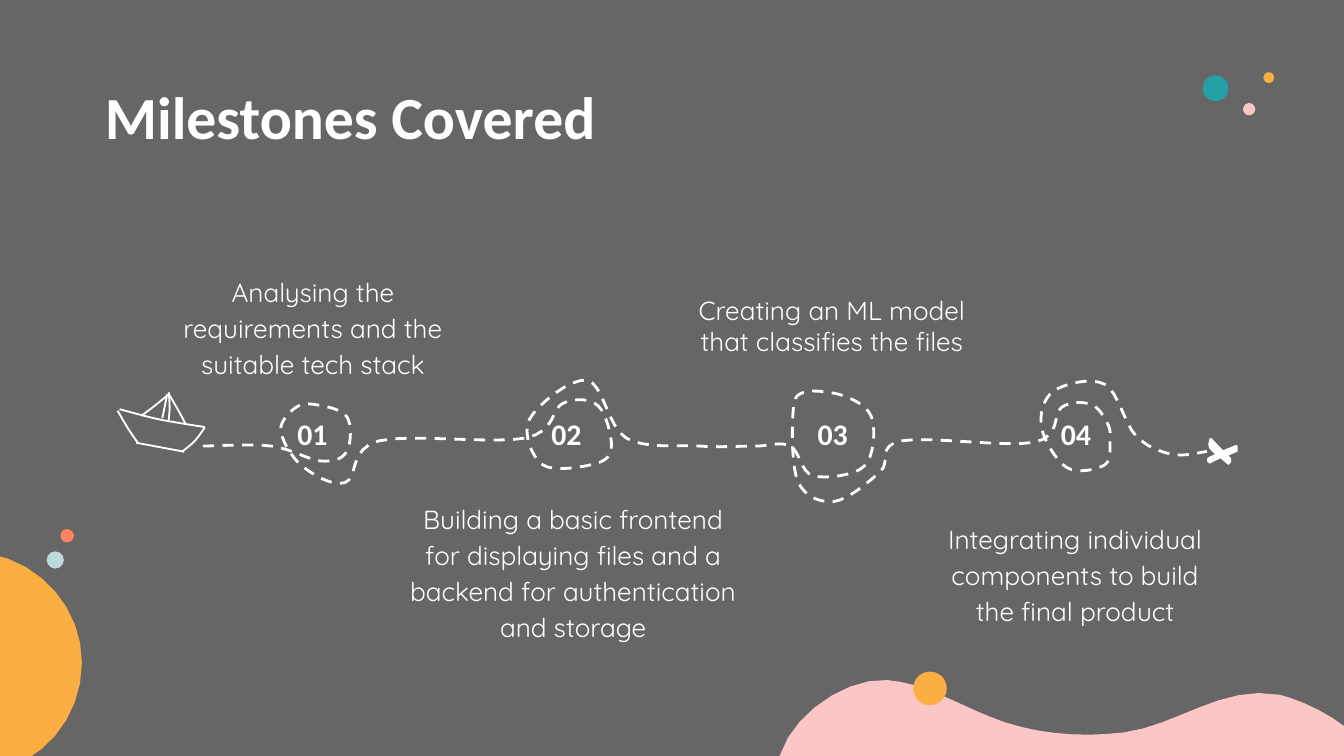
from pptx import Presentation
from pptx.dml.color import RGBColor
from pptx.enum.dml import MSO_LINE
from pptx.enum.shapes import MSO_SHAPE
from pptx.enum.text import MSO_ANCHOR, MSO_AUTO_SIZE, PP_ALIGN
from pptx.util import Pt

OVAL = MSO_SHAPE.OVAL
DASH = MSO_LINE.DASH
TOP = MSO_ANCHOR.TOP
NO_FIT = MSO_AUTO_SIZE.NONE
LEFT, CENTER = PP_ALIGN.LEFT, PP_ALIGN.CENTER

GRAY, WHITE = "666666", "FFFFFF"
ORANGE, PINK, TEAL = "FBAF42", "FCC6C7", "25A0A6"
MINT, CORAL = "BBDCDC", "FF8361"
CURVE_STEPS = 8

# Bezier curves: a start point, then two handles and an end for each curve
WAVE = [(316, 43.5),
        (316, 26.2), (282.4, 11.1), (269.4, 8.2),
        (238.5, 2.5), (214.7, 24.8), (185.9, 28.4),
        (161.4, 31.3), (136.2, 29.1), (113.9, 19.8),
        (95.9, 12.6), (78.6, 1.8), (59.2, 0.3),
        (34, -1.1), (0.9, 24.1), (0.2, 50)]
SUN = [(0, 117.4),
       (28.1, 113.1), (49.7, 88.4), (49.7, 58.4),
       (49.7, 29.6), (28.1, 5.1), (0, 0)]

# Points that the dashed trail passes through, with a loop at each milestone
TRAIL = [(8.7, 39), (45.4, 39),
         (72.1, 47), (85.8, 41.9), (85.8, 23.2), (68.5, 16.7), (57.7, 18.9),
         (50.5, 31.1), (62, 49.8), (85, 58.5), (103, 36.2), (181.5, 34.7),
         (201.7, 16), (220.4, 17.4), (227.6, 39), (219, 48.4), (190.9, 49.1),
         (183.7, 24.6), (214.6, 3.8), (235.5, 34.7), (274.4, 39), (304.6, 39),
         (323.4, 39), (335.6, 54.9), (363, 49.8), (367.3, 24.6), (352.9, 12.4),
         (330.6, 10.2), (324.8, 21.8), (327.7, 58.5), (347.1, 68.6),
         (371.6, 52.7), (383.1, 36.2), (454.4, 36.9),
         (468.8, 18.2), (484.6, 16.7), (493.3, 26.8), (494.7, 36.2),
         (491.8, 49.1), (471.7, 50.6), (458, 29), (464.5, 9.5), (491.8, 5.9),
         (508.4, 33.3), (527.8, 43.4), (546.6, 41.9)]

BOAT = [
    [(4.1, 9.2), (25, 14.6), (49.8, 18.8)],     # rim
    [(3, 10), (8.4, 19.3), (13.8, 27.2)],       # bow
    [(13, 27.2), (38.6, 32)],                   # keel
    [(49.8, 19), (44.4, 26.2), (37.6, 32)],     # stern
    [(30.7, 1), (22.8, 7.5), (15.8, 12.8)],     # left sail edge
    [(30.4, 1), (35.4, 9.6), (39.5, 17.2)],     # right sail edge
    [(29.6, 1.3), (28.2, 8.2), (27, 13.9)],     # fold
    [(30.5, 0.2), (30.9, 8.5), (30.4, 15.4)],   # mast
]
CROSS = [(2, 0.7), (1.3, 4.3), (2, 6.5), (4.9, 9.4), (0.9, 11.2), (0.6, 13),
         (2, 14.4), (7.8, 11.5), (12.1, 15.1), (13.5, 13.7), (13.5, 11.5),
         (12.1, 10.1), (17.1, 7.9), (17.1, 5), (16.4, 4.3), (9.2, 7.2),
         (7.8, 5.8), (3, 0.7)]

# Center and diameter
DOTS = [(29.6, 300, 9.2, MINT), (36, 287, 7.2, CORAL),
        (498.2, 368.8, 18, ORANGE), (679.7, 41.6, 5.8, ORANGE),
        (669.2, 58.5, 6.6, PINK), (651.2, 47.3, 13.8, TEAL)]

# Number, its left edge, caption, caption box, line spacing
MILESTONES = [
    ("01", 149, "Analysing the requirements and the suitable tech stack",
     (84.2, 138.2, 167, 63.4), 1.15),
    ("02", 285.1, "Building a basic frontend for displaying files and a "
     "backend for authentication and storage",
     (212.4, 260, 189.4, 100.8), 1.15),
    ("03", 427.7, "Creating an ML model that classifies the files",
     (362.2, 150.5, 167, 51.1), 1),
    ("04", 558, "Integrating individual components to build the final product",
     (492.5, 270.7, 167, 51.1), 1.15),
]


def color(value):
    return RGBColor.from_string(value)


def flatten_bezier(points):
    """Turn joined cubic curves into short straight steps."""
    result = [points[0]]
    for i in range(0, len(points) - 1, 3):
        for step in range(1, CURVE_STEPS + 1):
            t = step / CURVE_STEPS
            weights = ((1 - t) ** 3, 3 * t * (1 - t) ** 2,
                       3 * t * t * (1 - t), t ** 3)
            result.append(tuple(
                sum(w * p[axis] for w, p in zip(weights, points[i:i + 4]))
                for axis in (0, 1)))
    return result


def smooth_through(points):
    """Run a smooth curve through all points."""
    padded = [points[0], *points, points[-1]]
    curve = [points[0]]
    for before, start, end, after in zip(padded, points, points[1:], padded[3:]):
        curve.append(tuple(s + (e - b) / 6 for b, s, e in zip(before, start, end)))
        curve.append(tuple(e - (a - s) / 6 for s, e, a in zip(start, end, after)))
        curve.append(end)
    return flatten_bezier(curve)


def add_outline(slide, points, left, top, fill=None, line_width=None, dash=None):
    points = [(Pt(left + x), Pt(top + y)) for x, y in points]
    builder = slide.shapes.build_freeform(*points[0])
    builder.add_line_segments(points[1:], close=fill is not None)
    shape = builder.convert_to_shape()
    shape.shadow.inherit = False
    if fill:
        shape.fill.solid()
        shape.fill.fore_color.rgb = color(fill)
        shape.line.fill.background()
    else:
        shape.fill.background()
        shape.line.color.rgb = color(WHITE)
        shape.line.width = Pt(line_width)
        shape.line.dash_style = dash


def write_text(shape, text, box, size, font="Calibri", bold=False,
               align=CENTER, spacing=1):
    shape.left, shape.top, shape.width, shape.height = map(Pt, box)
    frame = shape.text_frame
    frame.word_wrap = True
    frame.auto_size = NO_FIT
    frame.vertical_anchor = TOP
    frame.margin_left = frame.margin_right = Pt(7.2)
    frame.margin_top = frame.margin_bottom = Pt(7.2)
    frame.text = text
    paragraph = frame.paragraphs[0]
    paragraph.alignment = align
    paragraph.line_spacing = spacing
    paragraph.space_before = Pt(0)
    run_font = paragraph.runs[0].font
    run_font.name, run_font.size, run_font.bold = font, Pt(size), bold
    run_font.color.rgb = color(WHITE)


def add_text(slide, text, box, size, **format_options):
    shape = slide.shapes.add_textbox(*map(Pt, box))
    write_text(shape, text, box, size, **format_options)


def draw_decoration(slide):
    add_outline(slide, flatten_bezier(WAVE), 416, 364, fill=PINK)
    add_outline(slide, flatten_bezier(SUN), -5.8, 296.6, fill=ORANGE)
    for x, y, diameter, fill in DOTS:
        dot = slide.shapes.add_shape(OVAL, Pt(x - diameter / 2), Pt(y - diameter / 2),
                                     Pt(diameter), Pt(diameter))
        dot.shadow.inherit = False
        dot.fill.solid()
        dot.fill.fore_color.rgb = color(fill)
        dot.line.fill.background()


def draw_boat(slide, left, top):
    for stroke in BOAT:
        add_outline(slide, smooth_through(stroke), left, top, line_width=1)


def draw_trail(slide, left, top):
    add_outline(slide, smooth_through(TRAIL), left, top, line_width=1.5, dash=DASH)
    add_outline(slide, CROSS, left + 546, top + 34, fill=WHITE)


def write_milestones(slide, number_top):
    for number, left, caption, box, spacing in MILESTONES:
        add_text(slide, number, (left, number_top, 36.7, 30.2), 16, bold=True)
        add_text(slide, caption, box, 14, font="Quicksand", spacing=spacing)


def main():
    presentation = Presentation()
    presentation.slide_width, presentation.slide_height = Pt(720), Pt(405)
    slide = presentation.slides.add_slide(presentation.slide_layouts[5])
    slide.background.fill.solid()
    slide.background.fill.fore_color.rgb = color(GRAY)

    draw_decoration(slide)
    write_text(slide.shapes.title, "Milestones Covered", (49, 35.3, 614.2, 45.4),
               32, bold=True, align=LEFT)
    draw_boat(slide, 60, 210)
    draw_trail(slide, 100, 200)
    write_milestones(slide, 215.3)
    presentation.save("out.pptx")


if __name__ == "__main__":
    main()
